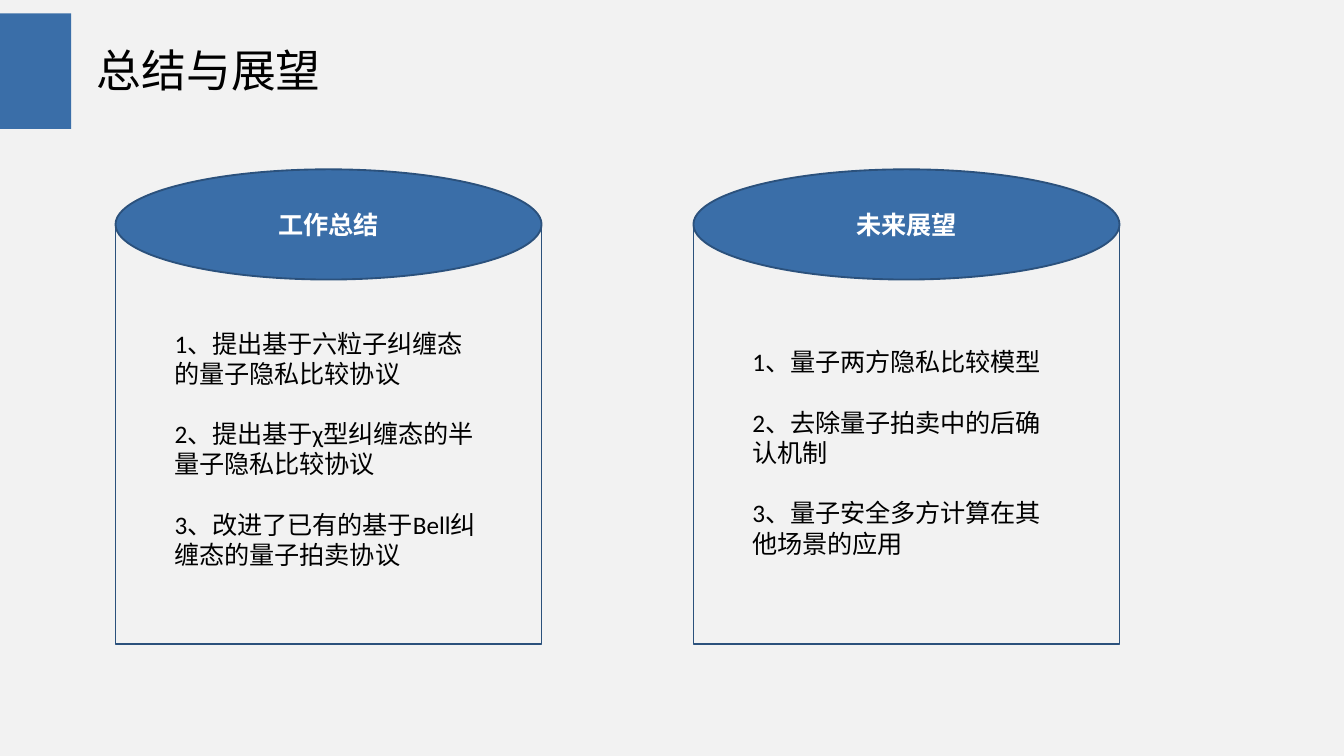
from dataclasses import dataclass

from lxml import etree
from pptx import Presentation
from pptx.dml.color import RGBColor
from pptx.enum.shapes import MSO_SHAPE
from pptx.enum.text import MSO_ANCHOR, PP_ALIGN
from pptx.oxml.ns import qn
from pptx.util import Inches, Pt

RECTANGLE, OVAL = MSO_SHAPE.RECTANGLE, MSO_SHAPE.OVAL
TOP, MIDDLE = MSO_ANCHOR.TOP, MSO_ANCHOR.MIDDLE
LEFT, CENTER = PP_ALIGN.LEFT, PP_ALIGN.CENTER
TITLE_ONLY = 5


@dataclass(frozen=True)
class Theme:
    background: RGBColor = RGBColor(0xF2, 0xF2, 0xF2)
    accent: RGBColor = RGBColor(0x3A, 0x6E, 0xA8)
    outline: RGBColor = RGBColor(0x2B, 0x51, 0x7C)
    text: RGBColor = RGBColor(0, 0, 0)
    on_accent: RGBColor = RGBColor(0xFF, 0xFF, 0xFF)
    latin_font: str = "Calibri"
    chinese_font: str = "Noto Sans CJK SC"
    title_size: float = 24
    body_size: float = 13.5
    item_gap: float = 16.2


THEME = Theme()
SLIDE_WIDTH = 10
SLIDE_HEIGHT = SLIDE_WIDTH * 9 / 16

# Column grid, in inches
FIRST_COLUMN, COLUMN_PITCH, COLUMN_WIDTH = 0.86, 4.3, 3.17
LID_TOP, LID_HEIGHT = 1.26, 0.82
BODY_TOP, BODY_HEIGHT = 1.68, 3.11
ITEM_INDENT, ITEM_WIDTH = 0.34, 2.48

# Heading, top of the items, height of the items, items
COLUMNS = [
    ("工作总结", 2.39, 1.92, [
        "1、提出基于六粒子纠缠态的量子隐私比较协议",
        "2、提出基于χ型纠缠态的半量子隐私比较协议",
        "3、改进了已有的基于Bell纠缠态的量子拍卖协议",
    ]),
    ("未来展望", 2.53, 1.69, [
        "1、量子两方隐私比较模型",
        "2、去除量子拍卖中的后确认机制",
        "3、量子安全多方计算在其他场景的应用",
    ]),
]


def add_run(paragraph, text, size, color, latin_font=THEME.latin_font, bold=False):
    run = paragraph.add_run()
    run.text = text
    font = run.font
    font.name, font.size, font.bold = latin_font, Pt(size), bold
    font.color.rgb = color
    # East Asian typeface has no public method
    east_asian = etree.SubElement(run._r.get_or_add_rPr(), qn("a:ea"))
    east_asian.set("typeface", THEME.chinese_font)


def add_box(slide, kind, bounds, fill=None, line=None):
    shape = slide.shapes.add_shape(kind, *map(Inches, bounds))
    shape.shadow.inherit = False
    if fill is None:
        shape.fill.background()
    else:
        shape.fill.solid()
        shape.fill.fore_color.rgb = fill
    if line is None:
        shape.line.fill.background()
    else:
        shape.line.color.rgb = line
        shape.line.width = Pt(1)
    return shape


def format_title(slide, text):
    title = slide.shapes.title
    title.left, title.top, title.width, title.height = map(Inches, (0.62, 0.27, 2.12, 0.5))
    frame = title.text_frame
    frame.word_wrap = False
    frame.vertical_anchor = TOP
    paragraph = frame.paragraphs[0]
    paragraph.alignment = LEFT
    add_run(paragraph, text, THEME.title_size, THEME.text, THEME.chinese_font)


def add_items(slide, bounds, items):
    frame = slide.shapes.add_textbox(*map(Inches, bounds)).text_frame
    frame.word_wrap = True
    for index, item in enumerate(items):
        paragraph = frame.add_paragraph() if index else frame.paragraphs[0]
        paragraph.space_before = Pt(THEME.item_gap if index else 0)
        add_run(paragraph, item, THEME.body_size, THEME.text)


def add_cylinder(slide, left, heading, items_top, items_height, items):
    """Draw an open box with an oval lid that holds the heading."""
    add_box(slide, RECTANGLE, (left, BODY_TOP, COLUMN_WIDTH, BODY_HEIGHT),
            line=THEME.outline)
    lid = add_box(slide, OVAL, (left, LID_TOP, COLUMN_WIDTH, LID_HEIGHT),
                  THEME.accent, THEME.outline)
    lid.text_frame.vertical_anchor = MIDDLE
    paragraph = lid.text_frame.paragraphs[0]
    paragraph.alignment = CENTER
    add_run(paragraph, heading, THEME.body_size, THEME.on_accent, bold=True)
    add_items(slide, (left + ITEM_INDENT, items_top, ITEM_WIDTH, items_height), items)


def main():
    presentation = Presentation()
    presentation.slide_width = Inches(SLIDE_WIDTH)
    presentation.slide_height = Inches(SLIDE_HEIGHT)
    slide = presentation.slides.add_slide(presentation.slide_layouts[TITLE_ONLY])
    slide.background.fill.solid()
    slide.background.fill.fore_color.rgb = THEME.background

    add_box(slide, RECTANGLE, (0, 0.1, 0.53, 0.86), THEME.accent)
    format_title(slide, "总结与展望")
    for index, column in enumerate(COLUMNS):
        add_cylinder(slide, FIRST_COLUMN + index * COLUMN_PITCH, *column)

    presentation.save("out.pptx")


if __name__ == "__main__":
    main()
